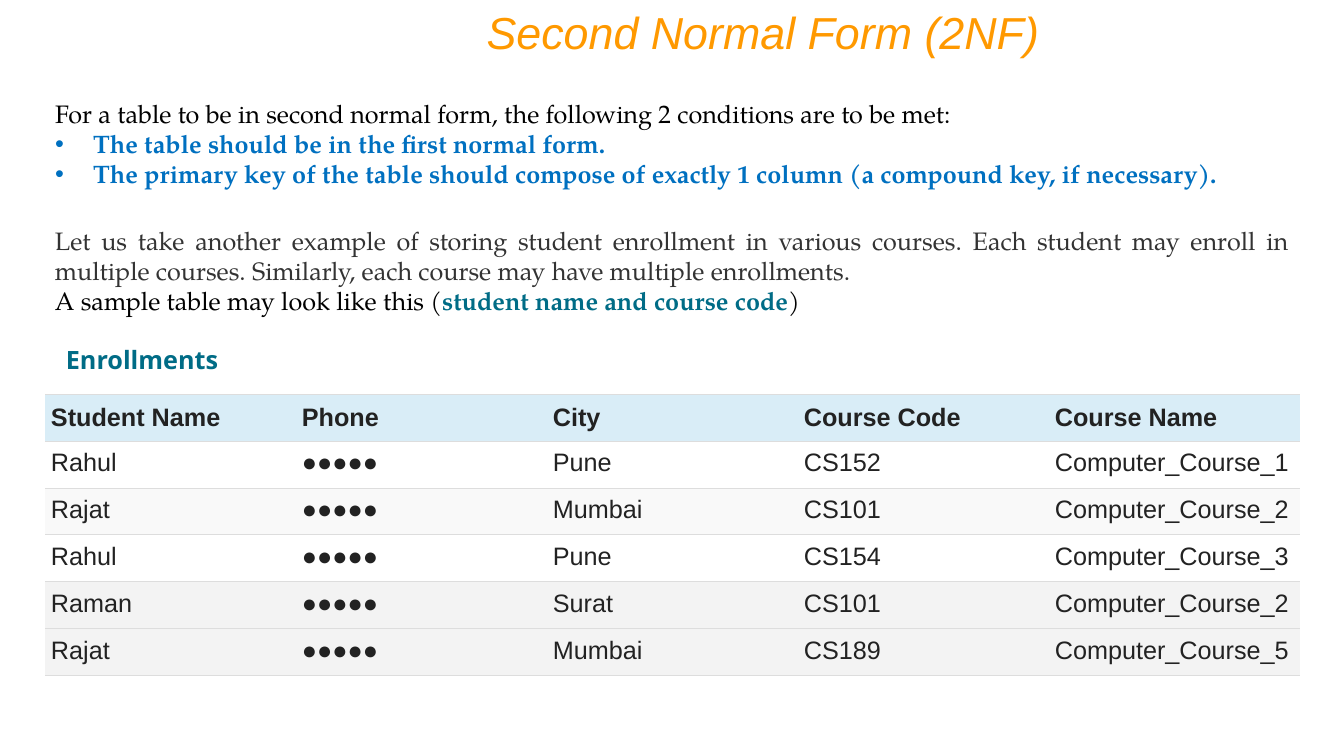
from lxml.etree import SubElement
from pptx import Presentation
from pptx.dml.color import RGBColor
from pptx.enum.text import MSO_ANCHOR, MSO_AUTO_SIZE, PP_ALIGN
from pptx.oxml import parse_xml
from pptx.oxml.ns import nsdecls, qn
from pptx.util import Pt

COLORS = {
    "title": "FF9900", "black": "000000", "blue": "0070C0", "gray": "333333",
    "teal": "006C86", "cell": "222222", "head": "D9EDF7", "rule": "DDDDDD",
    "white": "FFFFFF", "pale": "F9F9F9", "band": "F3F3F3",
}
SERIF = "TeX Gyre Pagella"
SCALE = 914400 / 100.8


def px(num):
    return round(num * SCALE)


def color(name):
    return RGBColor.from_string(COLORS[name])


class Page:
    def __init__(self, deck):
        self.slide = deck.slides.add_slide(deck.slide_layouts[1])
        self.size = 18

    def style(self, run, font, tint, bold=False, italic=False, size=None):
        run.font.name = font
        run.font.size = Pt(size or self.size)
        run.font.bold = bold
        run.font.italic = italic
        run.font.color.rgb = color(tint)

    def place(self, shape, box):
        shape.left, shape.top, shape.width, shape.height = map(px, box)
        frame = shape.text_frame
        frame.word_wrap = True
        frame.auto_size = MSO_AUTO_SIZE.NONE
        frame.vertical_anchor = MSO_ANCHOR.TOP
        return frame

    def title(self, box, text):
        frame = self.place(self.slide.shapes.title, box)
        frame.text = text
        para = frame.paragraphs[0]
        para.alignment = PP_ALIGN.RIGHT
        self.style(para.runs[0], "Arial", "title", italic=True, size=32)

    def list(self, box, intro, items):
        frame = self.place(self.slide.placeholders[1], box)
        frame.text = "\n".join([intro, *items])
        for num, para in enumerate(frame.paragraphs):
            props = para._p.get_or_add_pPr()
            dent = px(38) if num else 0
            props.set("marL", str(dent))
            props.set("indent", str(-dent))
            if num:
                SubElement(props, qn("a:buFont"), typeface="Arial")
                SubElement(props, qn("a:buChar"), char="•")
            else:
                SubElement(props, qn("a:buNone"))
            para.space_before = Pt(0)
            self.style(para.runs[0], SERIF, "blue" if num else "black", bold=num > 0)

    def text(self, box, paras, font, align=PP_ALIGN.LEFT):
        frame = self.place(self.slide.shapes.add_textbox(0, 0, 0, 0), box)
        for num, parts in enumerate(paras):
            para = frame.add_paragraph() if num else frame.paragraphs[0]
            para.alignment = align
            for words, tint, bold in parts:
                run = para.add_run()
                run.text = words
                self.style(run, font, tint, bold)

    def border(self, cell):
        props = cell._tc.get_or_add_tcPr()
        fill = f'<a:solidFill><a:srgbClr val="{COLORS["rule"]}"/></a:solidFill>'
        # Side lines stay empty; rules run along top and bottom
        sides = [("lnL", "<a:noFill/>"), ("lnR", "<a:noFill/>"),
                 ("lnT", fill), ("lnB", fill)]
        for spot, (tag, paint) in enumerate(sides):
            line = f'<a:{tag} {nsdecls("a")} w="{Pt(0.75)}">{paint}</a:{tag}>'
            props.insert(spot, parse_xml(line))

    def table(self, left, top, wide, high, rows, fills):
        count = len(rows[0])
        grid = self.slide.shapes.add_table(
            len(rows), count, px(left), px(top),
            px(wide * count), px(high * len(rows))).table
        grid.horz_banding = False
        for col in grid.columns:
            col.width = px(wide)
        for num, (row, fill) in enumerate(zip(rows, fills)):
            grid.rows[num].height = px(high)
            for cell, words in zip(grid.rows[num].cells, row):
                cell.text = words
                cell.margin_left = cell.margin_right = px(6)
                cell.margin_top = cell.margin_bottom = px(8)
                cell.vertical_anchor = MSO_ANCHOR.TOP if num else MSO_ANCHOR.MIDDLE
                cell.fill.solid()
                cell.fill.fore_color.rgb = color(fill)
                self.border(cell)
                run = cell.text_frame.paragraphs[0].runs[0]
                self.style(run, "Arial", "cell", bold=num == 0)


def main():
    deck = Presentation()
    deck.slide_width, deck.slide_height = px(1344), px(756)
    page = Page(deck)

    # Title and conditions
    page.title((294, 0, 756, 65), "Second Normal Form (2NF)")
    page.list(
        (45, 93, 1254, 102),
        "For a table to be in second normal form, the following 2 conditions are to be met:",
        ["The table should be in the first normal form.",
         "The primary key of the table should compose of exactly 1 column "
         "(a compound key, if necessary)."])

    # Example
    page.text((45, 220, 1254, 102), [
        [("Let us take another example of storing student enrollment in various "
          "courses. Each student may enroll in multiple courses. Similarly, each "
          "course may have multiple enrollments.", "gray", False)],
        [("A sample table may look like this (", "black", False),
         ("student name and course code", "teal", True),
         (")", "black", False)],
    ], SERIF, PP_ALIGN.JUSTIFY)

    # Enrollment table
    phone = "●●●●●"
    rows = [
        ("Student Name", "Phone", "City", "Course Code", "Course Name"),
        ("Rahul", phone, "Pune", "CS152", "Computer_Course_1"),
        ("Rajat", phone, "Mumbai", "CS101", "Computer_Course_2"),
        ("Rahul", phone, "Pune", "CS154", "Computer_Course_3"),
        ("Raman", phone, "Surat", "CS101", "Computer_Course_2"),
        ("Rajat", phone, "Mumbai", "CS189", "Computer_Course_5"),
    ]
    fills = ["head", "white", "pale", "white", "band", "band"]
    page.table(45, 394, 251, 47, rows, fills)
    page.text((56, 339, 322, 40), [[("Enrollments", "teal", True)]], "Open Sans")

    deck.save("out.pptx")


if __name__ == "__main__":
    main()
